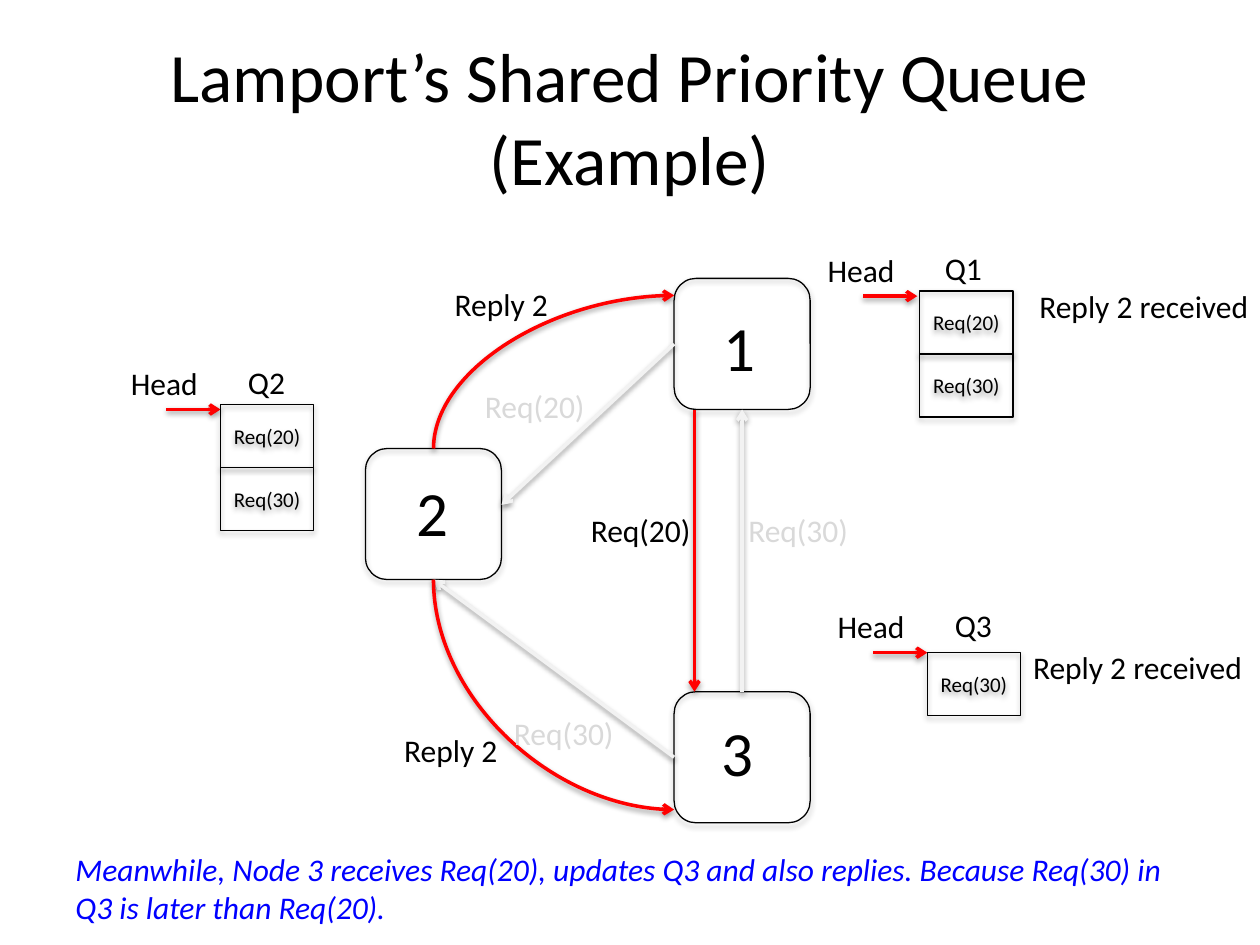
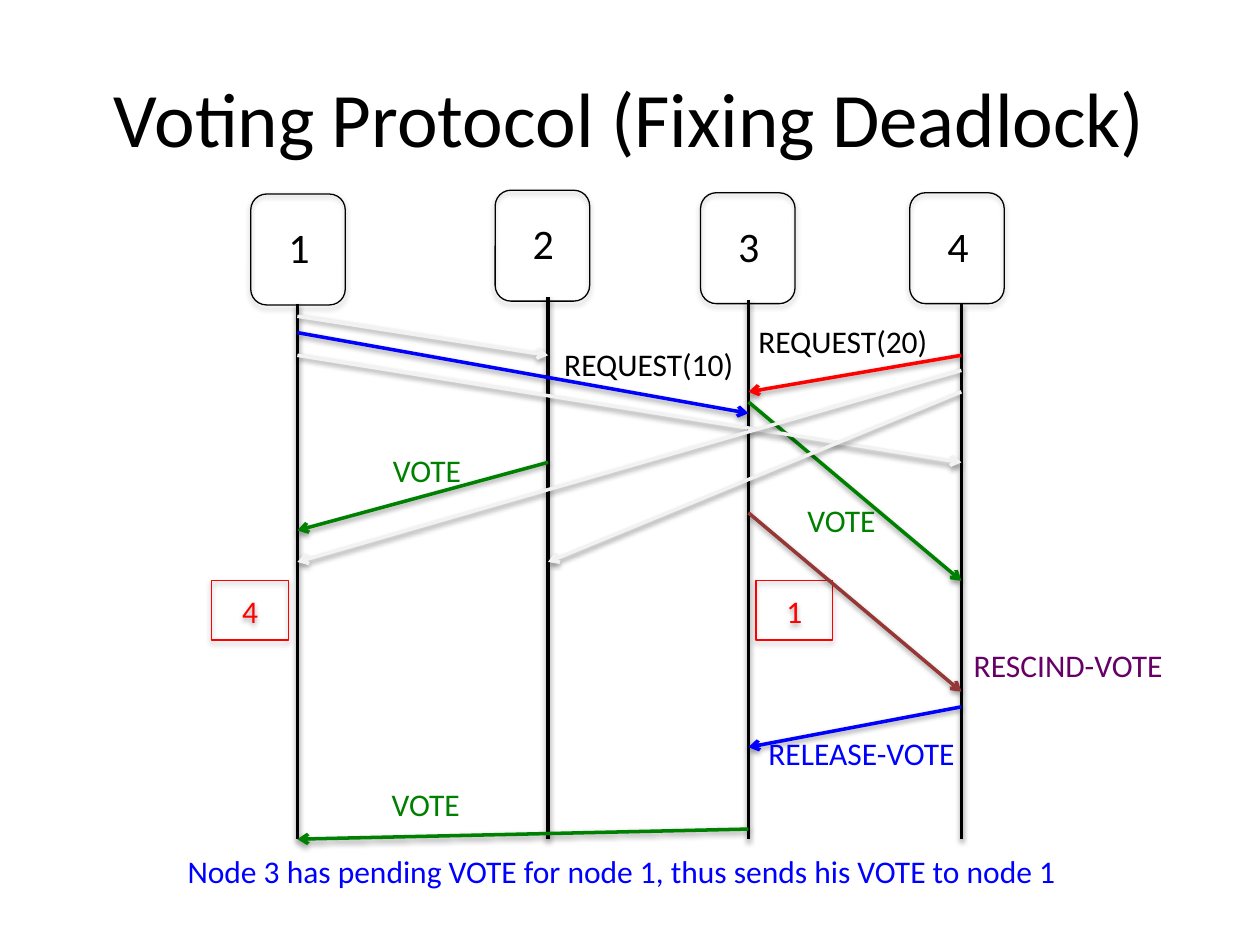
from pptx import Presentation
from pptx.dml.color import RGBColor
from pptx.enum.shapes import MSO_CONNECTOR, MSO_SHAPE
from pptx.enum.text import MSO_ANCHOR, MSO_AUTO_SIZE, PP_ALIGN
from pptx.oxml.ns import qn
from pptx.util import Inches, Pt
from lxml import etree

LINE, CURVE = MSO_CONNECTOR.STRAIGHT, MSO_CONNECTOR.CURVE
RECT, ROUND = MSO_SHAPE.RECTANGLE, MSO_SHAPE.ROUNDED_RECTANGLE
LEFT, MID = PP_ALIGN.LEFT, PP_ALIGN.CENTER
FIT, CORE = MSO_AUTO_SIZE.SHAPE_TO_FIT_TEXT, MSO_ANCHOR.MIDDLE


class Theme:
    font = "Calibri"
    black, red, blue, green = "000000", "FF0000", "0000FF", "008000"
    brown, plum, pale, grey = "953735", "660066", "F2F2F2", "D9D9D9"
    body, cell, name, digit = 18, 12, 24, 36
    thin, thick = 0.75, 2
    blur, box_drop, line_drop = 3.15, 1.81, 1.57
    box_dim, line_dim = 35, 38


WIDE, HIGH = 10, 7.5
HEAD = (0.5, 0.3, 9, 1.25)

QUEUE = {
    "title": "Lamport’s Shared Priority Queue (Example)",
    "size": 39.6,
    "nodes": {"1": (5.35, 2.21), "2": (2.9, 3.56), "3": (5.35, 5.49)},
    "digits": [("1", 5.64, 2.4), ("2", 3.21, 3.71), ("3", 5.63, 5.61)],
    "lists": [
        ("Q2", 1.75, 3.25, 0, -0.04, ["Req(20)", "Req(30)"]),
        ("Q3", 7.36, 5.18, 0, 0, ["Req(30)"]),
        ("Q1", 7.28, 2.35, 0.02, -0.04, ["Req(20)", "Req(30)"]),
    ],
    "edges": [
        (("3", 0.5, 0), ("1", 0.5, 1), Theme.pale, LINE),
        (("3", 0, 0.5), ("2", 0.5, 1), Theme.pale, LINE),
        (("1", 0, 0.5), ("2", 1, 0.43), Theme.pale, LINE),
        (("1", 0.15, 1), ("3", 0.15, 0), Theme.red, LINE),
        (("2", 0.5, 0), ("1", 0, 0.13), Theme.red, CURVE),
        (("2", 0.5, 1), ("3", 0, 0.9), Theme.red, CURVE),
    ],
    "labels": [
        ("Req(30)", 3.98, 5.62, 1.01, Theme.grey),
        ("Req(30)", 5.84, 4.01, 1.01, Theme.grey),
        ("Req(20)", 3.75, 3.02, 1.01, Theme.grey),
        ("Req(20)", 4.59, 4.01, 1.01, Theme.black),
        ("Reply 2", 3.51, 2.21, 0.95, Theme.black),
        ("Reply 2", 3.11, 5.75, 0.95, Theme.black),
        ("Reply 2 received", 8.15, 2.23, 1.89, Theme.black),
        ("Reply 2 received", 8.1, 5.09, 1.89, Theme.black),
    ],
    "note": "Meanwhile, Node 3 receives Req(20), updates Q3 and also replies. "
            "Because Req(30) in\nQ3 is later than Req(20).",
}

VOTE = {
    "title": "Voting Protocol (Fixing Deadlock)",
    "size": 44,
    "foot": 6.66,
    "nodes": [("1", 1.99, 1.54), ("2", 3.93, 1.51), ("3", 5.56, 1.53), ("4", 7.22, 1.53)],
    "lanes": [(2.36, 2.41), (4.35, 2.36), (5.94, 2.38), (7.63, 2.41)],
    "marks": [("4", 1.68), ("1", 6)],
    "sends": [
        (1, 2.64, 3, 3.28, Theme.blue),
        (4, 2.82, 3, 3.11, Theme.red),
        (2, 3.67, 1, 4.21, Theme.green),
        (3, 3.19, 4, 4.61, Theme.green),
        (1, 2.51, 2, 2.82, Theme.pale),
        (1, 2.82, 4, 3.67, Theme.pale),
        (4, 2.94, 1, 4.46, Theme.pale),
        (4, 3.11, 2, 4.46, Theme.pale),
        (3, 4.07, 4, 5.49, Theme.brown),
        (4, 5.61, 3, 5.93, Theme.blue),
        (3, 6.58, 1, 6.66, Theme.green),
    ],
    "labels": [
        ("VOTE", 3.02, 3.53, 0.76, Theme.green),
        ("VOTE", 6.31, 3.93, 0.76, Theme.green),
        ("REQUEST(20)", 5.92, 2.51, 1.57, Theme.black),
        ("REQUEST(10)", 4.38, 2.69, 1.57, Theme.black),
        ("RESCIND-VOTE", 7.63, 5.08, 1.73, Theme.plum),
        ("RELEASE-VOTE", 6, 5.78, 1.71, Theme.blue),
        ("VOTE", 3.01, 6.18, 0.76, Theme.green),
        ("Node 3 has pending VOTE for node 1, thus sends his VOTE to node 1",
         1.39, 6.71, 7.19, Theme.blue),
    ],
}


def ink(code):
    return RGBColor.from_string(code)


def write(frame, text, size, color, align=LEFT, slant=False):
    frame.text = text
    for para in frame.paragraphs:
        para.alignment = align
        for run in para.runs:
            run.font.name = Theme.font
            run.font.size = Pt(size)
            run.font.italic = slant
            run.font.color.rgb = ink(color)


def shade(props, drop, dim):
    effects = props.find(qn("a:effectLst"))
    if effects is None:
        effects = etree.SubElement(props, qn("a:effectLst"))
    shadow = etree.SubElement(effects, qn("a:outerShdw"), blurRad=str(Pt(Theme.blur)),
                              dist=str(Pt(drop)), dir="5400000", rotWithShape="0")
    color = etree.SubElement(shadow, qn("a:srgbClr"), val=Theme.black)
    etree.SubElement(color, qn("a:alpha"), val=str(dim * 1000))


def label(slide, text, x, y, w, color=Theme.black, size=Theme.body, h=0.4, slant=False):
    box = slide.shapes.add_textbox(*map(Inches, (x, y, w, h)))
    write(box.text_frame, text, size, color, slant=slant)
    box.text_frame.word_wrap = False
    box.text_frame.auto_size = FIT


def block(slide, kind, x, y, w, h, color=Theme.black, text="", size=Theme.body):
    shape = slide.shapes.add_shape(kind, *map(Inches, (x, y, w, h)))
    shape.fill.background()
    shape.line.color.rgb = ink(color)
    shape.line.width = Pt(Theme.thin)
    shape.shadow.inherit = False
    shade(shape._element.spPr, Theme.box_drop, Theme.box_dim)
    if text:
        write(shape.text_frame, text, size, color, MID)
        shape.text_frame.vertical_anchor = CORE


def link(slide, start, end, color, kind=LINE, tip=True):
    if kind == CURVE:
        cx, cy = ((a + b) / 2 for a, b in zip(start, end))
        start, end = ((cx + y - cy, cy - x + cx) for x, y in (start, end))
    wire = slide.shapes.add_connector(kind, *map(Inches, (*start, *end)))
    wire.line.color.rgb = ink(color)
    wire.line.width = Pt(Theme.thick)
    props = wire._element.spPr
    if kind == CURVE:
        props.find(qn("a:prstGeom")).set("prst", "curvedConnector2")
        props.find(qn("a:xfrm")).set("rot", "5400000")
    if tip:
        etree.SubElement(props.find(qn("a:ln")), qn("a:tailEnd"), type="arrow")
    shade(props, Theme.line_drop, Theme.line_dim)


def begin(deck, data):
    slide = deck.slides.add_slide(deck.slide_layouts[6])
    box = slide.shapes.add_textbox(*map(Inches, HEAD))
    write(box.text_frame, data["title"], data["size"], Theme.black, MID)
    box.text_frame.word_wrap = True
    box.text_frame.vertical_anchor = CORE
    return slide


def draw_queue(deck, data):
    slide = begin(deck, data)
    w, h = 1.08, 1.04
    for x, y in data["nodes"].values():
        block(slide, ROUND, x, y, w, h)
    for text, x, y in data["digits"]:
        label(slide, text, x, y, 0.46, size=Theme.digit, h=0.71)
    label(slide, data["note"], 0.5, 6.7, 8.99, Theme.blue, h=0.71, slant=True)

    cw, ch = 0.74, 0.5
    for name, x, y, dx, dy, items in data["lists"]:
        tail = x - 0.43
        label(slide, name, tail + 0.55, y - 0.42, 0.5)
        link(slide, (tail, y), (x, y), Theme.red)
        label(slide, "Head", tail - 0.38, y - 0.41, 0.74)
        for row, item in enumerate(items):
            block(slide, RECT, x + dx, y + dy + row * ch, cw, ch, text=item, size=Theme.cell)

    def spot(node, across, down):
        x, y = data["nodes"][node]
        return x + across * w, y + down * h

    for start, end, color, kind in data["edges"]:
        link(slide, spot(*start), spot(*end), color, kind)
    for item in data["labels"]:
        label(slide, *item)


def draw_vote(deck, data):
    slide = begin(deck, data)
    for text, x, y in data["nodes"]:
        block(slide, ROUND, x, y, 0.75, 0.88)
        label(slide, text, x + 0.2, y + 0.17, 0.37, size=Theme.name, h=0.5)
    lanes = data["lanes"]
    for x, top in lanes:
        link(slide, (x, top), (x, data["foot"]), Theme.black, tip=False)
    for text, x in data["marks"]:
        block(slide, RECT, x, 4.61, 0.61, 0.47, Theme.red, text)
    for src, y1, dst, y2, color in data["sends"]:
        link(slide, (lanes[src - 1][0], y1), (lanes[dst - 1][0], y2), color)
    for item in data["labels"]:
        label(slide, *item)


def main():
    deck = Presentation()
    deck.slide_width, deck.slide_height = Inches(WIDE), Inches(HIGH)
    draw_queue(deck, QUEUE)
    draw_vote(deck, VOTE)
    deck.save("out.pptx")


if __name__ == "__main__":
    main()
